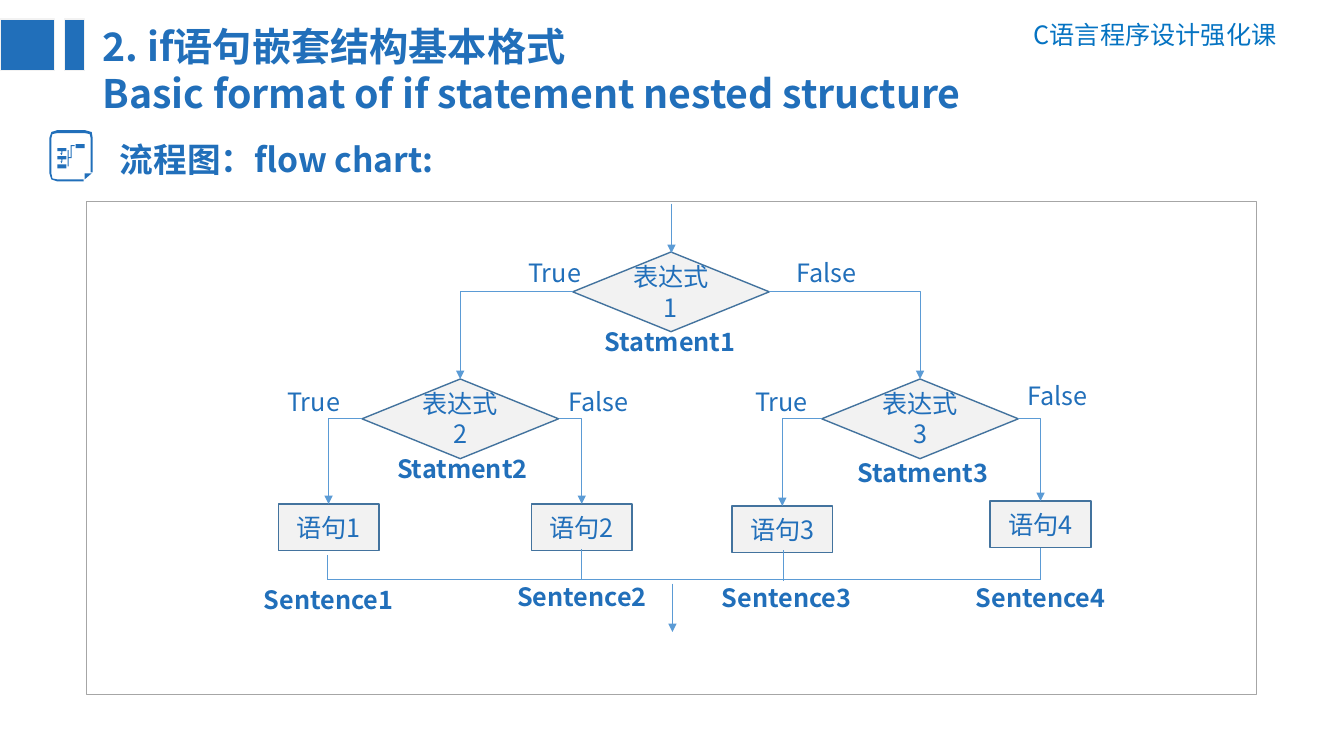
"""Build a slide with the flow chart of a nested if statement."""
from lxml import etree
from pptx import Presentation
from pptx import util as u
from pptx.dml.color import RGBColor
from pptx.enum import shapes, text
from pptx.oxml.ns import qn

COLORS = {"blue": "216FBA", "header": "0573C2", "pale": "F2F2F2", "edge": "43739E",
          "arrow": "5B9BD5", "frame": "A6A6A6"}
FONT = "Noto Sans CJK SC"
KIND = shapes.MSO_SHAPE
LEFT, CENTER, RIGHT = text.PP_ALIGN.LEFT, text.PP_ALIGN.CENTER, text.PP_ALIGN.RIGHT

prs = Presentation()
prs.slide_width, prs.slide_height = u.Inches(13.33), u.Inches(7.5)
s = prs.slides.add_slide(prs.slide_layouts[6])


def write(sp, lines, size=18, bold=False, color="blue", align=LEFT, spacing=1.0):
    """Fill a shape with one paragraph per line."""
    tf = sp.text_frame
    tf.word_wrap = True
    for i, line in enumerate(lines):
        p = tf.add_paragraph() if i else tf.paragraphs[0]
        p.alignment, p.line_spacing = align, spacing
        r = p.add_run()
        r.text = line
        for name, value in {"size": u.Pt(size), "bold": bold, "name": FONT}.items():
            setattr(r.font, name, value)
        r.font.color.rgb = RGBColor.from_string(COLORS[color])
        etree.SubElement(r.font._element, qn("a:ea"), typeface=FONT)


def style(sp, line, width, fill=None, arrow=False):
    """Set fill, outline and arrowhead, without a shadow."""
    if fill:
        sp.fill.solid()
        sp.fill.fore_color.rgb = RGBColor.from_string(COLORS[fill])
    if line:
        sp.line.color.rgb = RGBColor.from_string(COLORS[line])
        sp.line.width = u.Pt(width)
    else:
        sp.line.fill.background()
    if arrow:
        etree.SubElement(sp.line._get_or_add_ln(), qn("a:tailEnd"), type="triangle")
    etree.SubElement(sp._element.spPr, qn("a:effectLst"))


for x, y, w, h, line, width, fill in [
    (0, 0.19, 0.54, 0.51, "pale", 1, "blue"),
    (0.64, 0.19, 0.2, 0.51, "pale", 1, "blue"),
    (0.86, 2, 11.6, 4.89, "frame", 0.75, None),
]:
    sp = s.shapes.add_shape(KIND.RECTANGLE, *map(u.Inches, (x, y, w, h)))
    if not fill:
        sp.fill.background()
    style(sp, line, width, fill)

icon = [
    [(84, 172), (91, 172), (84, 178)],
    [(57, 163), (66, 163), (66, 167), (57, 167)],
    [(70, 144), (74, 144), (74, 145), (71, 145), (71, 157), (68, 157), (68, 165),
     (67, 165), (67, 149), (68, 149), (68, 156), (70, 156)],
    [(75, 143), (84, 143), (84, 147), (75, 147)],
    [(57, 129), (84, 129), (91, 131), (92, 137), (92, 171), (90, 171), (90, 137),
     (89, 133), (84, 132), (57, 132), (52, 133), (51, 137), (51, 172), (52, 177),
     (57, 178), (83, 178), (83, 180), (57, 180), (51, 178), (49, 172), (49, 137),
     (51, 131)],
]
for y in (147, 155):
    icon.append([(57, y), (66, y), (66, y + 3), (62, y + 3), (62, y + 5),
                 (61, y + 7), (60, y + 5), (61, y + 5), (61, y + 3), (57, y + 3)])
outline = s.shapes.build_freeform(*icon[0][0], scale=u.Inches(0.01))
for i, points in enumerate(icon):
    if i:
        outline.move_to(*points[0])
    outline.add_line_segments(points[1:], close=True)
style(outline.convert_to_shape(), None, 0, "blue")

nodes = {}
for kind, w, h, items in [
    (KIND.FLOWCHART_DECISION, 1.95, 0.79,
     [("表达式1", 5.68, 2.5), ("表达式2", 3.59, 3.76), ("表达式3", 8.15, 3.76)]),
    (KIND.FLOWCHART_PROCESS, 1, 0.46,
     [("语句1", 2.76, 5), ("语句2", 5.27, 5), ("语句3", 7.26, 5.02), ("语句4", 9.82, 4.97)]),
]:
    for label, x, y in items:
        sp = nodes[label] = s.shapes.add_shape(kind, *map(u.Inches, (x, y, w, h)))
        style(sp, "edge", 1, "pale")
        write(sp, [label], align=CENTER)
        sp.text_frame.vertical_anchor = text.MSO_ANCHOR.MIDDLE

TOP_SITE, LEFT_SITE, RIGHT_SITE = 0, 1, 3
for test, on_true, on_false in [("表达式1", "表达式2", "表达式3"),
                                ("表达式2", "语句1", "语句2"),
                                ("表达式3", "语句3", "语句4")]:
    for site, target in ((LEFT_SITE, on_true), (RIGHT_SITE, on_false)):
        c = s.shapes.add_connector(shapes.MSO_CONNECTOR.ELBOW, 0, 0, 0, 0)
        c.begin_connect(nodes[test], site)
        c.end_connect(nodes[target], TOP_SITE)
        c._element.spPr.find(qn("a:prstGeom")).set("prst", "bentConnector2")
        style(c, "arrow", 0.5, arrow=True)

for x1, y1, x2, y2, arrow in [
    (6.66, 2.02, 6.66, 2.51, True),
    (6.67, 5.79, 6.67, 6.27, True),
    (3.25, 5.75, 10.32, 5.75, False),
    (3.25, 5.51, 3.25, 5.75, False),
    (5.77, 5.45, 5.77, 5.75, False),
    (7.77, 5.46, 7.77, 5.76, False),
    (10.32, 5.44, 10.32, 5.75, False),
]:
    c = s.shapes.add_connector(shapes.MSO_CONNECTOR.STRAIGHT, *map(u.Inches, (x1, y1, x2, y2)))
    style(c, "arrow", 0.5, arrow=arrow)

branch = {"w": 0.98, "h": 0.4}
caption = {"w": 2, "h": 0.4, "bold": True}
for lines, x, y, fmt in [
    (["C语言程序设计强化课"], 9.76, 0.14, {"w": 3, "h": 0.4, "color": "header", "align": RIGHT}),
    (["2. if语句嵌套结构基本格式", "Basic format of if statement nested structure"],
     0.92, 0.17, {"w": 11.6, "h": 1.04, "size": 28, "bold": True}),
    (["流程图：flow chart:"], 1.09, 1.25,
     {"w": 3.63, "h": 0.54, "size": 24, "bold": True, "spacing": 1.2}),
    (["True"], 5.14, 2.5, branch),
    (["False"], 7.8, 2.5, branch),
    (["True"], 2.75, 3.78, branch),
    (["False"], 5.54, 3.78, branch),
    (["True"], 7.39, 3.78, branch),
    (["False"], 10.09, 3.72, branch),
    (["Statment1"], 5.9, 3.19, caption),
    (["Statment2"], 3.84, 4.45, caption),
    (["Statment3"], 8.41, 4.49, caption),
    (["Sentence1"], 2.52, 5.75, caption),
    (["Sentence2"], 5.03, 5.72, caption),
    (["Sentence3"], 7.06, 5.73, caption),
    (["Sentence4"], 9.58, 5.73, caption),
]:
    fmt = dict(fmt)
    sp = s.shapes.add_textbox(*map(u.Inches, (x, y, fmt.pop("w"), fmt.pop("h"))))
    write(sp, lines, **fmt)
    sp.text_frame.auto_size = text.MSO_AUTO_SIZE.SHAPE_TO_FIT_TEXT

prs.save("out.pptx")
